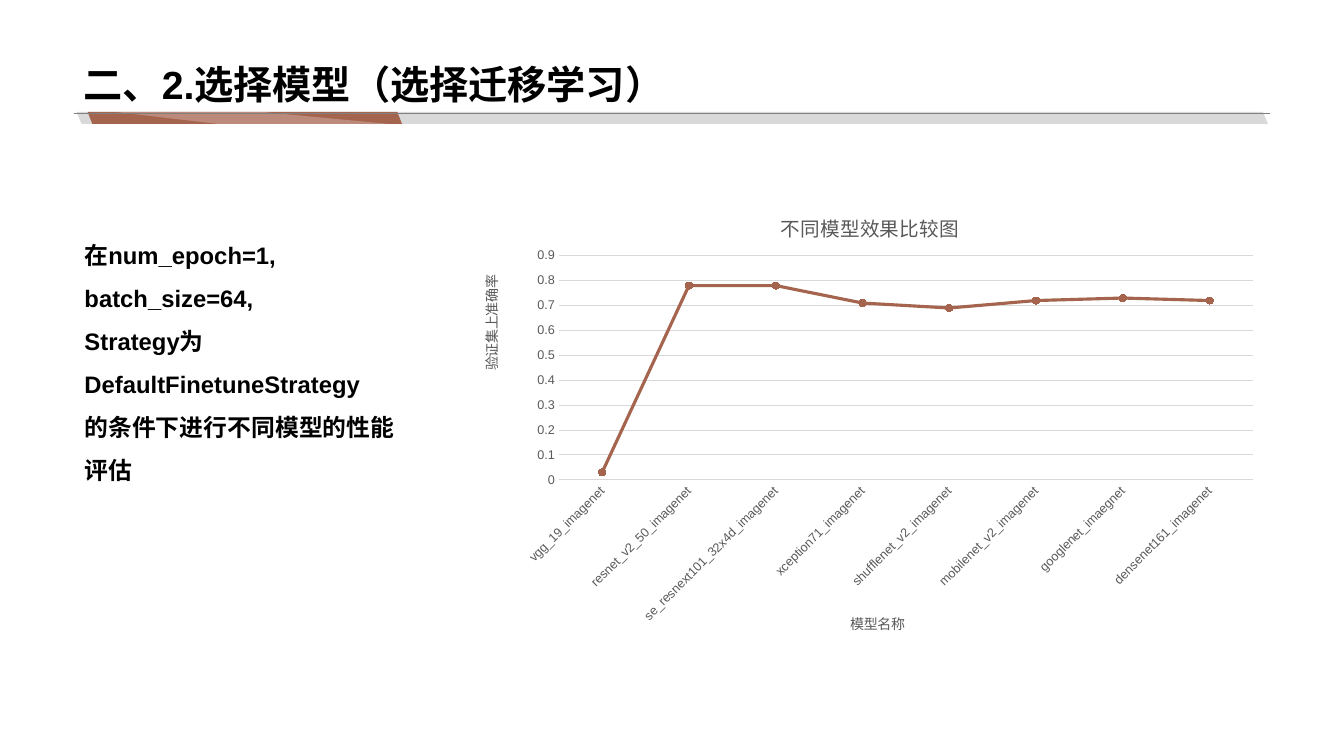
from lxml import etree
from pptx import Presentation
from pptx.chart.data import CategoryChartData
from pptx.dml.color import RGBColor
from pptx.enum.chart import XL_CHART_TYPE as ChartType, XL_MARKER_STYLE as Marker
from pptx.enum.chart import XL_TICK_MARK as Tick
from pptx.enum.shapes import MSO_CONNECTOR as Connector, MSO_SHAPE as Shape
from pptx.enum.text import MSO_ANCHOR as Anchor
from pptx.oxml.ns import qn
from pptx.util import Pt

BLACK = RGBColor(0x00, 0x00, 0x00)
WHITE = RGBColor(0xFF, 0xFF, 0xFF)
RUST = RGBColor(0xA5, 0x64, 0x4E)
PALE_GREY = RGBColor(0xD9, 0xD9, 0xD9)
MID_GREY = RGBColor(0x80, 0x80, 0x80)
DARK_GREY = RGBColor(0x59, 0x59, 0x59)


def add_text(left, top, width, height, lines, size, spacing):
    box = page.shapes.add_textbox(Pt(left), Pt(top), Pt(width), Pt(height))
    frame = box.text_frame
    frame.word_wrap = True
    frame.text = "\n".join(lines)
    for para in frame.paragraphs:
        para.line_spacing = spacing
        for span in para.runs:
            span.font.name = "Arial"
            span.font.size = Pt(size)
            span.font.bold = True
            span.font.color.rgb = BLACK
    return frame


def place(parent, index, **position):
    """Fix a chart part at fractions of the chart area."""
    for old in parent.findall(qn("c:layout")):
        parent.remove(old)
    layout = etree.Element(qn("c:layout"))
    manual = etree.SubElement(layout, qn("c:manualLayout"))
    if "w" in position:
        etree.SubElement(manual, qn("c:layoutTarget")).set("val", "inner")
    for mode in ("xMode", "yMode"):
        etree.SubElement(manual, qn(f"c:{mode}")).set("val", "edge")
    for name, value in position.items():
        etree.SubElement(manual, qn(f"c:{name}")).set("val", str(value))
    parent.insert(index, layout)


deck = Presentation()
deck.slide_width, deck.slide_height = Pt(960), Pt(540)
page = deck.slides.add_slide(deck.slide_layouts[6])

# Slanted bars under the title
for left, width, slant, color in ((54.7, 851, 0.42, PALE_GREY), (62.6, 224.6, 0.39, RUST)):
    bar = page.shapes.add_shape(Shape.PARALLELOGRAM, Pt(left), Pt(79.9), Pt(width), Pt(8.6))
    bar.adjustments[0] = slant
    bar._element.spPr.find(qn("a:xfrm")).set("flipH", "1")
    bar.shadow.inherit = False
    bar.fill.solid()
    bar.fill.fore_color.rgb = color
    bar.line.fill.background()

# Translucent glint on the short bar
outline = page.shapes.build_freeform(Pt(277.2), Pt(88.5), scale=1.0)
outline.add_line_segments([(Pt(187.2), Pt(79.9)), (Pt(82.1), Pt(79.9)), (Pt(155.5), Pt(88.5))])
glint = outline.convert_to_shape()
glint.shadow.inherit = False
glint.fill.solid()
glint.fill.fore_color.rgb = WHITE
glint.line.fill.background()
white = glint._element.spPr.find(qn("a:solidFill"))[0]
etree.SubElement(white, qn("a:alpha")).set("val", "25000")

# Rule and title
rule = page.shapes.add_connector(Connector.STRAIGHT, Pt(52.6), Pt(81), Pt(907.2), Pt(81))
rule.line.color.rgb = MID_GREY
rule.line.width = Pt(0.25)
etree.SubElement(rule._element.spPr, qn("a:effectLst"))
title = add_text(52.6, 0, 854.6, 80.6, ["二、2.选择模型（选择迁移学习）"], 28, 0.9)
title.vertical_anchor = Anchor.BOTTOM

# Test conditions
conditions = add_text(53.3, 131, 254.2, 221, [
    "在num_epoch=1,",
    "batch_size=64,",
    "Strategy为DefaultFinetuneStrategy",
    "的条件下进行不同模型的性能",
    "评估",
], 17, 1.5)
conditions.margin_top = Pt(31)

# Accuracy chart
accuracy = {
    "vgg_19_imagenet": 0.03,
    "resnet_v2_50_imagenet": 0.78,
    "se_resnext101_32x4d_imagenet": 0.78,
    "xception71_imagenet": 0.71,
    "shufflenet_v2_imagenet": 0.69,
    "mobilenet_v2_imagenet": 0.72,
    "googlenet_imaegnet": 0.73,
    "densenet161_imagenet": 0.72,
}
data = CategoryChartData()
data.categories = list(accuracy)
data.add_series("Series 1", list(accuracy.values()))
chart = page.shapes.add_chart(ChartType.LINE_MARKERS, Pt(331.9), Pt(131), Pt(574.6),
                              Pt(354.2), data).chart
chart.has_legend = False
chart.font.name = "Arial"
chart.font.size = Pt(10)
chart.plots[0].vary_by_categories = False
place(chart._chartSpace.chart.plotArea, 0, x=0.117, y=0.146, w=0.863, h=0.452)

series = chart.plots[0].series[0]
series.smooth = False
series.format.line.color.rgb = RUST
series.format.line.width = Pt(2.25)
series.marker.style = Marker.CIRCLE
series.marker.size = 5
series.marker.format.fill.solid()
series.marker.format.fill.fore_color.rgb = RUST
series.marker.format.line.color.rgb = RUST

# Axes
models, scores = chart.category_axis, chart.value_axis
for axis in (models, scores):
    axis.major_tick_mark = axis.minor_tick_mark = Tick.NONE
    axis.tick_labels.font.name = "Arial"
    axis.tick_labels.font.size = Pt(9)
    axis.tick_labels.font.color.rgb = DARK_GREY
models.format.line.color.rgb = PALE_GREY
models.format.line.width = Pt(0.75)
models._element.txPr.bodyPr.set("rot", "-2700000")
scores.format.line.fill.background()
scores.minimum_scale, scores.maximum_scale, scores.major_unit = 0, 0.9, 0.1
scores.tick_labels.number_format = "General"
scores.tick_labels.number_format_is_linked = False
scores.major_gridlines.format.line.color.rgb = PALE_GREY
scores.major_gridlines.format.line.width = Pt(0.75)

# Chart and axis titles
for owner, wording, size, turn, x, y in (
    (chart, "不同模型效果比较图", 14, 0, 0.388, 0.048),
    (models, "模型名称", 10, 0, 0.476, 0.86),
    (scores, "验证集上准确率", 10, -5400000, 0.016, 0.18),
):
    heading = owner.chart_title if owner is chart else owner.axis_title
    heading.text_frame.text = wording
    heading.text_frame._txBody.bodyPr.set("rot", str(turn))
    font = heading.text_frame.paragraphs[0].runs[0].font
    font.name = "Arial"
    font.size = Pt(size)
    font.bold = False
    font.color.rgb = DARK_GREY
    place(heading._element, 1, x=x, y=y)

deck.save("out.pptx")
